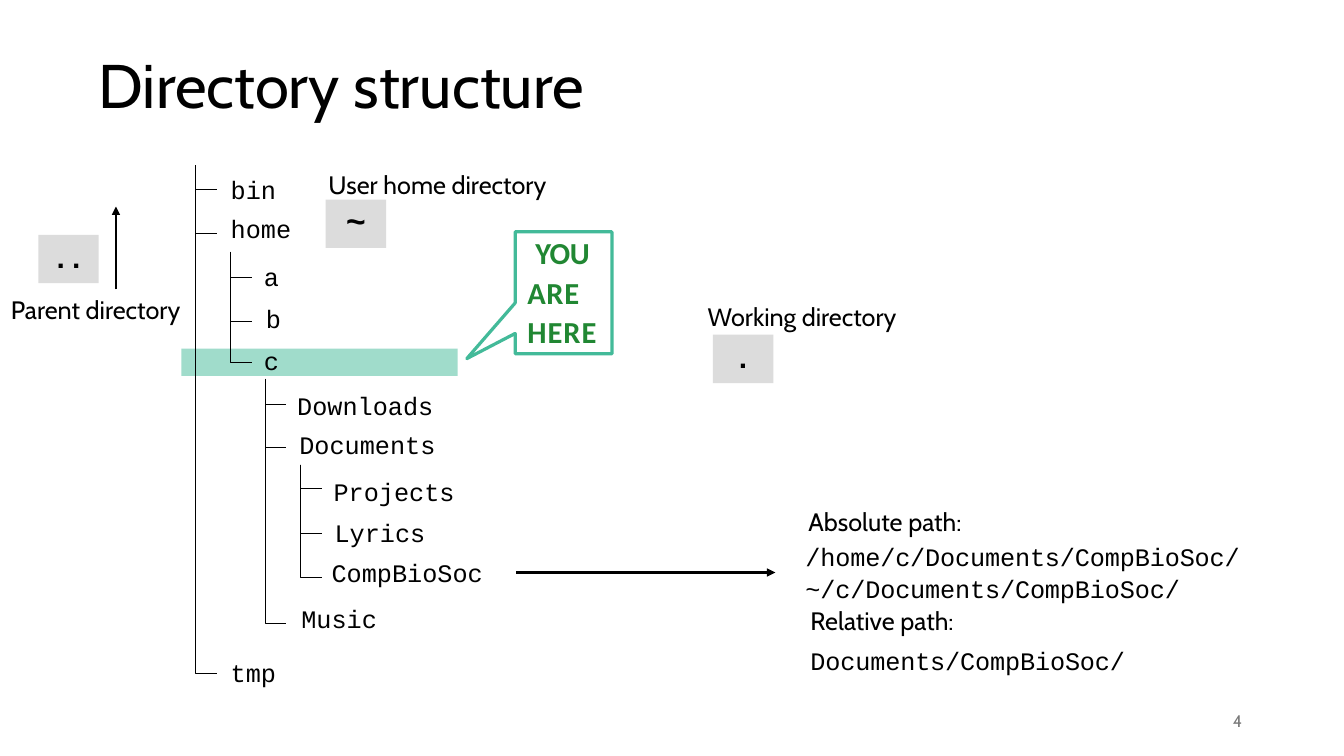
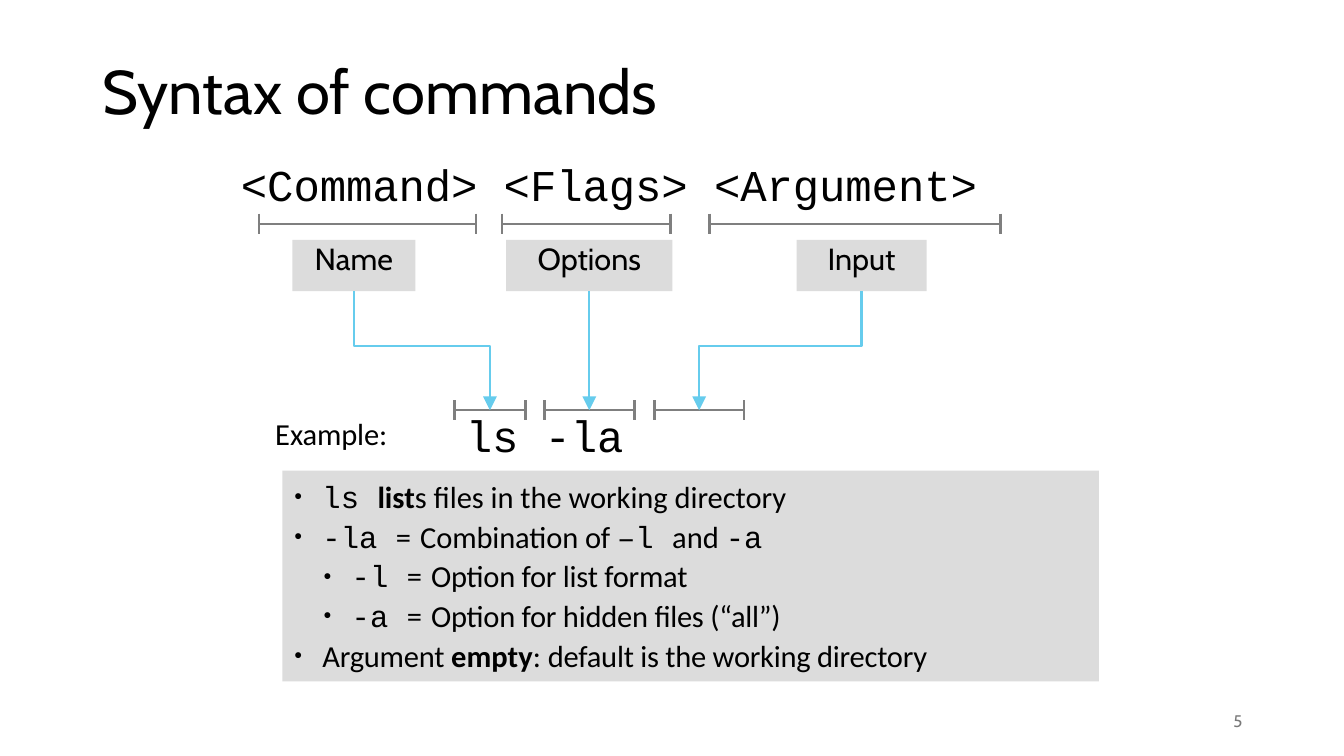
import pptx
import pptx.dml.color
import pptx.enum.shapes
import pptx.enum.text
import pptx.oxml.ns
import pptx.util
from lxml import etree

Inches = pptx.util.Inches
Pt = pptx.util.Pt
SHAPES = pptx.enum.shapes.MSO_SHAPE
ALIGN = pptx.enum.text.PP_ALIGN
ANCHOR = pptx.enum.text.MSO_ANCHOR
qn = pptx.oxml.ns.qn

BLACK, GREY, PANEL = "000000", "7F7F7F", "DCDCDC"
TEAL, GREEN, BLUE, PAGE_GREY = "43BA99", "218733", "66CCED", "797979"
SANS, BODY, MONO = "Cabin", "Calibri", "Courier New"


def colour(hex_code):
    return pptx.dml.color.RGBColor.from_string(hex_code)


def add_bullet(paragraph, level):
    properties = paragraph._p.get_or_add_pPr()
    properties.set("marL", str(Inches(0.3 + 0.29 * level)))
    properties.set("indent", str(-Inches(0.28)))
    etree.SubElement(properties, qn("a:buSzPct"), val="45000")
    etree.SubElement(properties, qn("a:buFont"), typeface="Arial")
    etree.SubElement(properties, qn("a:buChar"), char="●")


def write(shape, *paragraphs, font=SANS, size=18, color=BLACK, bold=False,
          spacing=0, align=ALIGN.LEFT, anchor=ANCHOR.TOP,
          insets=(0.1, 0.05, 0.1, 0.05), line_spacing=None, space_before=0,
          first_indent=0, levels=None):
    """Fill a shape with paragraphs: strings, or lists of (text, font, bold, spacing)."""
    frame = shape.text_frame
    frame.word_wrap = True
    frame.vertical_anchor = anchor
    (frame.margin_left, frame.margin_top,
     frame.margin_right, frame.margin_bottom) = map(Inches, insets)
    for index, content in enumerate(paragraphs):
        paragraph = frame.add_paragraph() if index else frame.paragraphs[0]
        paragraph.alignment = align
        if line_spacing:
            paragraph.line_spacing = line_spacing
        if index:
            paragraph.space_before = Pt(space_before)
        if first_indent:
            paragraph._p.get_or_add_pPr().set("indent", str(Inches(first_indent)))
        if levels:
            add_bullet(paragraph, levels[index])
        if isinstance(content, str):
            content = [(content, font, bold, spacing)]
        for text, run_font, run_bold, run_spacing in content:
            run = paragraph.add_run()
            run.text = text
            run.font.name = run_font
            run.font.size = Pt(size)
            run.font.bold = run_bold
            run.font.color.rgb = colour(color)
            if run_spacing:
                run._r.get_or_add_rPr().set("spc", str(round(run_spacing * 100)))


def add_text(slide, box, *paragraphs, **text_format):
    write(slide.shapes.add_textbox(*map(Inches, box)), *paragraphs, **text_format)


def add_panel(slide, box, fill=PANEL, alpha=None):
    panel = slide.shapes.add_shape(SHAPES.RECTANGLE, *map(Inches, box))
    panel.shadow.inherit = False
    panel.fill.solid()
    panel.fill.fore_color.rgb = colour(fill)
    panel.line.fill.background()
    if alpha:
        fill_color = panel._element.spPr.find(qn("a:solidFill"))[0]
        etree.SubElement(fill_color, qn("a:alpha"), val=str(alpha * 1000))
    return panel


def style_line(shape, color, width, head):
    shape.line.color.rgb = colour(color)
    shape.line.width = Pt(width)
    if head:
        etree.SubElement(shape.line._get_or_add_ln(), qn("a:tailEnd"),
                         type="triangle", w=head, len=head)


def add_line(slide, start, end, color=BLACK, width=1.5, head=None):
    line = slide.shapes.add_connector(pptx.enum.shapes.MSO_CONNECTOR.STRAIGHT,
                                      *map(Inches, start + end))
    etree.SubElement(line._element.spPr, qn("a:effectLst"))
    style_line(line, color, width, head)


def add_outline(slide, strokes, color=BLACK, width=0.7, head=None):
    """Draw open strokes, each a list of points, as one shape."""
    strokes = [[(Inches(x), Inches(y)) for x, y in stroke] for stroke in strokes]
    builder = slide.shapes.build_freeform(*strokes[0][0], scale=1.0)
    for index, (first, *others) in enumerate(strokes):
        if index:
            builder.move_to(*first)
        builder.add_line_segments(others, close=False)
    outline = builder.convert_to_shape()
    outline.shadow.inherit = False
    outline.fill.background()
    style_line(outline, color, width, head)


def new_slide(deck, title, number, left, top):
    slide = deck.slides.add_slide(deck.slide_layouts[6])
    add_text(slide, (left, top, 11.5, 1.45), title, size=44,
             anchor=ANCHOR.MIDDLE, line_spacing=0.9)
    add_text(slide, (9.42, 6.95, 3, 0.4), str(number), size=12, color=PAGE_GREY,
             align=ALIGN.RIGHT, anchor=ANCHOR.MIDDLE)
    return slide


def add_tree(slide, trunks):
    """Draw trunks (left, top, entries) of (name, branch drop, label shift, label drop)."""
    add_outline(slide, [
        [(left, top), (left, top + drop), (left + 0.21, top + drop)]
        for left, top, entries in trunks for _, drop, _, _ in entries])
    for left, top, entries in trunks:
        for name, _, label_shift, label_drop in entries:
            add_text(slide, (left + label_shift, top + label_drop, 1.9, 0.4), name,
                     font=MONO)


def add_shortcut(slide, left, top, symbol, font=SANS):
    write(add_panel(slide, (left, top, 0.6, 0.48)), symbol, font=font, size=24,
          bold=True, align=ALIGN.CENTER, insets=(0, 0, 0, 0))


def add_here_callout(slide, box):
    callout = slide.shapes.add_shape(SHAPES.RECTANGULAR_CALLOUT, *map(Inches, box))
    callout.adjustments[0], callout.adjustments[1] = -1, 0.54
    callout.shadow.inherit = False
    callout.fill.background()
    callout.line.color.rgb = colour(TEAL)
    callout.line.width = Pt(2.3)
    words = [("YOU ", BODY, True, -0.3), ("ARE ", BODY, True, 0.5),
             ("HERE", BODY, True, 0.7)]
    write(callout, words, size=21.8, color=GREEN, insets=(0.12, 0, 0.08, 0),
          line_spacing=1.07, first_indent=0.08)


def add_paths(slide, left, top):
    code = {"font": MONO, "spacing": -0.1, "space_before": 1.2}
    add_text(slide, (left + 0.05, top, 1.9, 0.4), "Absolute path:")
    add_text(slide, (left + 0.02, top + 0.35, 4.97, 0.72),
             "/home/c/Documents/CompBioSoc/", "~/c/Documents/CompBioSoc/", **code)
    add_text(slide, (left + 0.07, top + 0.99, 1.9, 0.4), "Relative path:")
    add_text(slide, (left + 0.07, top + 1.38, 4.97, 0.4), "Documents/CompBioSoc/",
             **code)


def directory_slide(deck):
    slide = new_slide(deck, "Directory structure", 4, 0.88, 0.15)
    add_here_callout(slide, (5.11, 2.3, 0.96, 1.21))
    add_panel(slide, (1.8, 3.46, 2.74, 0.27), fill=TEAL, alpha=50)

    add_tree(slide, [
        (1.94, 1.64, [("bin", 0.24, 0.25, 0.04), ("home", 0.68, 0.25, 0.43),
                      ("tmp", 5.04, 0.25, 4.83)]),
        (2.29, 2.5, [("a", 0.25, 0.23, 0.04), ("b", 0.69, 0.25, 0.46),
                     ("c", 1.1, 0.23, 0.88)]),
        (2.63, 3.76, [("Downloads", 0.25, 0.22, 0.06),
                      ("Documents", 0.68, 0.24, 0.45), ("Music", 2.43, 0.26, 2.18)]),
    ])
    add_tree(slide, [
        (2.98, 4.61, [("Projects", 0.24, 0.23, 0.07), ("Lyrics", 0.68, 0.24, 0.47),
                      ("CompBioSoc", 1.12, 0.21, 0.87)]),
    ])

    add_shortcut(slide, 7.07, 3.32, ".")
    add_shortcut(slide, 0.38, 2.33, ". .")
    add_shortcut(slide, 3.23, 1.98, "~", font=MONO)
    for caption, left, top in [("Working directory", 6.92, 2.94),
                               ("User home directory", 3.16, 1.63),
                               ("Parent directory", 0.01, 2.87)]:
        add_text(slide, (left, top, 2.5, 0.4), caption)

    add_line(slide, (1.15, 2.87), (1.15, 2.05), head="med")
    add_line(slide, (5.12, 5.68), (7.69, 5.68), head="med")
    add_paths(slide, 7.87, 4.97)


def add_bracket(slide, left, right, y):
    add_line(slide, (left, y), (right, y), color=GREY, width=1.45)
    add_outline(slide, [[(x, y - 0.1), (x, y + 0.1)] for x in (left, right)],
                color=GREY, width=1.9)


def add_syntax_part(slide, role, box, span, example_span):
    """Bracket a term, name its role and point to the matching example term."""
    left, top, width, height = box
    add_bracket(slide, *span, top - 0.16)
    write(add_panel(slide, box), role, size=21.8, align=ALIGN.CENTER,
          insets=(0, 0, 0, 0))
    example_y = top + 1.69
    add_bracket(slide, *example_span, example_y)
    start_x, end_x = left + width / 2, sum(example_span) / 2
    bottom, bend_y = top + height, top + 1.05
    arrow = {"color": BLUE, "width": 1.45, "head": "lg"}
    if abs(start_x - end_x) < 0.05:
        add_line(slide, (end_x, bottom), (end_x, example_y), **arrow)
    else:
        add_outline(slide, [[(start_x, bottom), (start_x, bend_y), (end_x, bend_y),
                             (end_x, example_y)]], **arrow)


def add_explanation(slide, box):
    def code(text):
        return text, MONO, False, 0

    def plain(text, spacing=0):
        return text, BODY, False, spacing

    def strong(text):
        return text, BODY, True, 0

    write(add_panel(slide, box),
          [code("ls "), strong("list"),
           plain("s files in the working directory", -0.05)],
          [code("-la "), plain("= ", 0.8), plain("Combination of ", -0.1),
           code("–l "), plain("and "), code("-a")],
          [code("-l "), plain("= ", 0.8), plain("Option for list format", -0.2)],
          [code("-a "), plain("= ", 0.8),
           plain("Option for hidden files (“all”)", -0.2)],
          [plain("Argument ", -0.2), strong("empty"), plain(": "),
           plain("default is the working directory", -0.2)],
          size=21.8, insets=(0.1, 0.07, 0.1, 0), space_before=2.2,
          levels=(0, 0, 1, 1, 0))


def syntax_slide(deck):
    slide = new_slide(deck, "Syntax of commands", 5, 0.92, 0.21)
    flush = {"insets": (0, 0.02, 0, 0), "spacing": -0.1}
    add_text(slide, (2.39, 1.54, 7.83, 0.55), "<Command> <Flags> <Argument>",
             font=MONO, size=31.4, **flush)
    for role, left, width, span, example_span in [
            ("Name", 2.9, 1.22, (2.57, 4.72), (4.51, 5.21)),
            ("Options", 5.02, 1.65, (4.98, 6.65), (5.4, 6.29)),
            ("Input", 7.9, 1.29, (7.04, 9.92), (6.49, 7.38))]:
        add_syntax_part(slide, role, (left, 2.38, width, 0.51), span, example_span)
    add_text(slide, (4.62, 4.03, 1.8, 0.55), "ls -la", font=MONO, size=31.4, **flush)
    add_text(slide, (2.73, 4.1, 1.32, 0.38), "Example:", font=BODY, size=21.8,
             **flush)
    add_explanation(slide, (2.8, 4.67, 8.1, 2.09))


def main():
    deck = pptx.Presentation()
    deck.slide_width, deck.slide_height = Inches(13.33), Inches(7.5)
    directory_slide(deck)
    syntax_slide(deck)
    deck.save("out.pptx")


if __name__ == "__main__":
    main()
